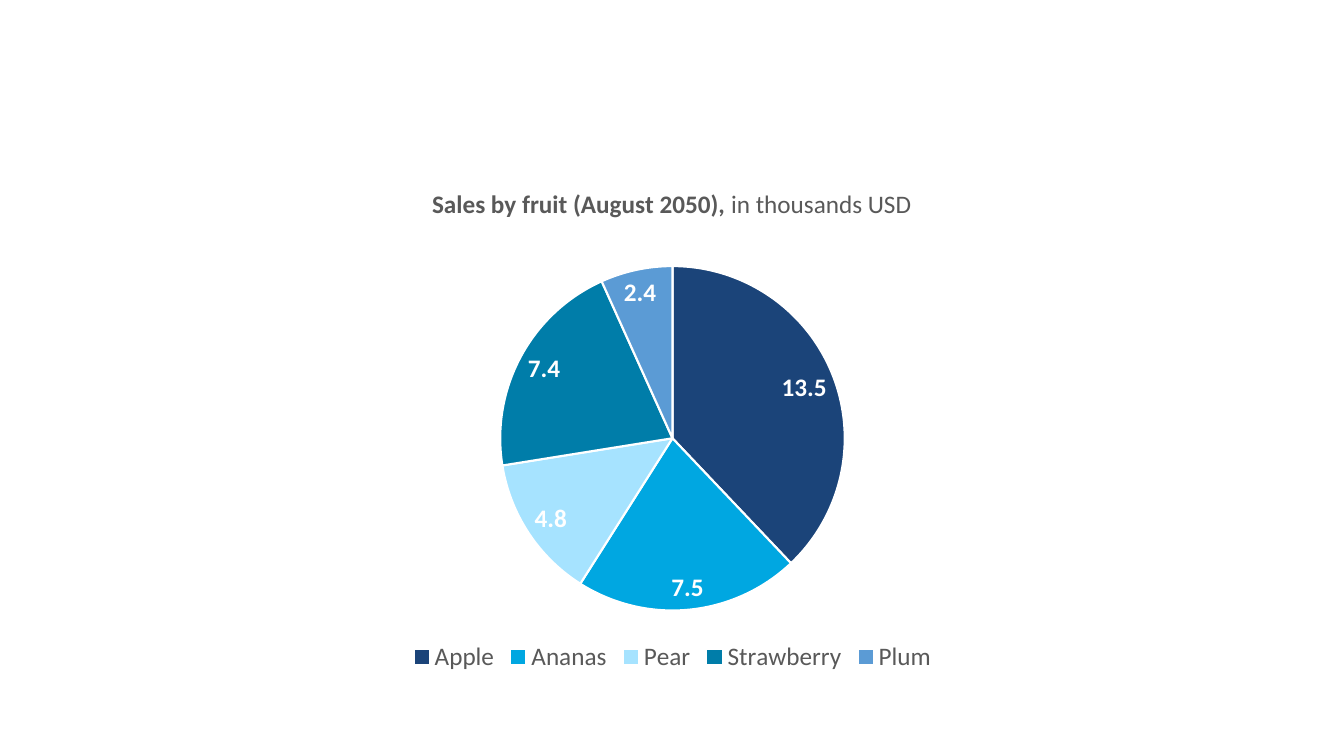
from dataclasses import dataclass

import lxml.etree
import pptx
import pptx.chart.chart
import pptx.chart.data
import pptx.dml.color
import pptx.enum.chart
import pptx.oxml.ns
import pptx.text.text
import pptx.util

WHITE = pptx.dml.color.RGBColor(0xFF, 0xFF, 0xFF)
GRAY = pptx.dml.color.RGBColor(0x59, 0x59, 0x59)
NAVY = pptx.dml.color.RGBColor(0x1B, 0x44, 0x79)
BRIGHT_BLUE = pptx.dml.color.RGBColor(0x00, 0xA7, 0xE1)
PALE_BLUE = pptx.dml.color.RGBColor(0xA6, 0xE3, 0xFF)
TEAL = pptx.dml.color.RGBColor(0x00, 0x7D, 0xA9)
SOFT_BLUE = pptx.dml.color.RGBColor(0x5B, 0x9B, 0xD5)


@dataclass(frozen=True)
class Fruit:
    name: str
    sales: float
    color: pptx.dml.color.RGBColor


FRUITS = [
    Fruit("Apple", 13.5, NAVY),
    Fruit("Ananas", 7.5, BRIGHT_BLUE),
    Fruit("Pear", 4.8, PALE_BLUE),
    Fruit("Strawberry", 7.4, TEAL),
    Fruit("Plum", 2.4, SOFT_BLUE),
]


def format_font(font: pptx.text.text.Font, *, color: pptx.dml.color.RGBColor = GRAY,
                bold: bool = False) -> None:
    font.name = "Calibri"
    font.size = pptx.util.Pt(18)
    font.bold = bold
    font.color.rgb = color


def add_text(paragraph, text: str, *, color: pptx.dml.color.RGBColor = GRAY,
             bold: bool = False) -> None:
    run = paragraph.add_run()
    run.text = text
    format_font(run.font, color=color, bold=bold)


def set_layout(parent, index: int, **fractions: float) -> None:
    """Place a chart part by fractions of the chart's size."""
    qn = pptx.oxml.ns.qn
    for layout in parent.findall(qn("c:layout")):
        parent.remove(layout)
    layout = lxml.etree.Element(qn("c:layout"))
    manual = lxml.etree.SubElement(layout, qn("c:manualLayout"))
    settings = {"xMode": "edge", "yMode": "edge", **fractions}
    if "w" in fractions:
        settings = {"layoutTarget": "inner", **settings}
    for name, value in settings.items():
        lxml.etree.SubElement(manual, qn(f"c:{name}")).set("val", str(value))
    parent.insert(index, layout)


def add_title(chart: pptx.chart.chart.Chart) -> None:
    chart.has_title = True
    title = chart.chart_title
    paragraph = title.text_frame.paragraphs[0]
    add_text(paragraph, "Sales by fruit (August 2050), ", bold=True)
    add_text(paragraph, "in thousands USD")
    title.include_in_layout = False
    set_layout(title.element, 1, x=0.29, y=0.04)


def format_pie(chart: pptx.chart.chart.Chart) -> None:
    plot = chart.plots[0]
    plot.vary_by_categories = True
    for index, fruit in enumerate(FRUITS):
        slice_format = plot.series[0].points[index].format
        slice_format.fill.solid()
        slice_format.fill.fore_color.rgb = fruit.color
        slice_format.line.color.rgb = WHITE
        slice_format.line.width = pptx.util.Pt(1.5)
    labels = plot.series[0].data_labels
    labels.show_value = True
    labels.show_percentage = False
    labels.position = pptx.enum.chart.XL_LABEL_POSITION.BEST_FIT
    format_font(labels.font, color=WHITE, bold=True)
    set_layout(chart.element.chart.plotArea, 0, x=0.35, y=0.2, w=0.3, h=0.67)


def add_legend(chart: pptx.chart.chart.Chart) -> None:
    chart.has_legend = True
    chart.legend.position = pptx.enum.chart.XL_LEGEND_POSITION.BOTTOM
    chart.legend.include_in_layout = False
    format_font(chart.legend.font)


def main() -> None:
    inches = pptx.util.Inches
    presentation = pptx.Presentation()
    presentation.slide_width = inches(13.33)
    presentation.slide_height = inches(7.5)
    slide = presentation.slides.add_slide(presentation.slide_layouts[6])

    # Sales data
    data = pptx.chart.data.CategoryChartData()
    data.categories = [fruit.name for fruit in FRUITS]
    data.add_series("Series 1", [fruit.sales for fruit in FRUITS])

    # Pie chart with title and legend
    chart = slide.shapes.add_chart(
        pptx.enum.chart.XL_CHART_TYPE.PIE,
        inches(0.92), inches(1.62), inches(11.5), inches(5.1), data).chart
    add_title(chart)
    format_pie(chart)
    add_legend(chart)

    presentation.save("out.pptx")


if __name__ == "__main__":
    main()
